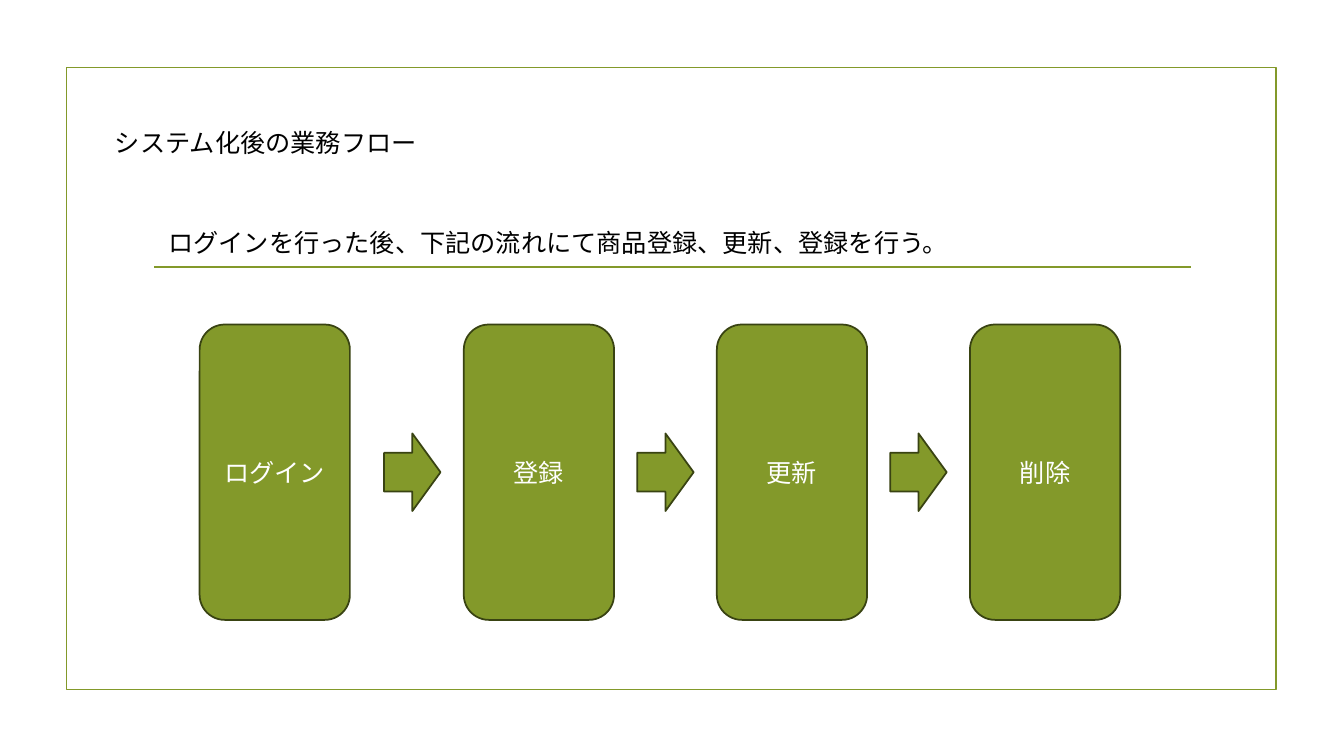
from lxml.etree import SubElement
from pptx import Presentation
from pptx.dml.color import RGBColor
from pptx.enum.shapes import MSO_CONNECTOR, MSO_SHAPE
from pptx.enum.text import MSO_ANCHOR, MSO_AUTO_SIZE, PP_ALIGN
from pptx.oxml.ns import qn
from pptx.util import Inches, Pt

HUES = {"green": "83992A", "edge": "394312", "ink": "000000", "white": "FFFFFF"}
CJK = "Noto Sans CJK JP"
SERIF = "Times New Roman"
STEP = 2.51
TOP, TALL, WIDE = 3.22, 2.93, 1.49
FIRST, NEXT = 1.98, 4.6
ARROW = 3.81


def hue(name):
    return RGBColor.from_string(HUES[name])


def box(*spot):
    return [Inches(n) for n in spot]


def write(frame, text, font=SERIF, size=18, color="ink",
          align=PP_ALIGN.LEFT, anchor=MSO_ANCHOR.TOP):
    frame.word_wrap = True
    frame.auto_size = MSO_AUTO_SIZE.NONE
    frame.vertical_anchor = anchor
    par = frame.paragraphs[0]
    par.alignment = align
    run = par.add_run()
    run.text = text
    run.font.size = Pt(size)
    run.font.color.rgb = hue(color)
    run.font.name = font
    SubElement(run.font._element, qn("a:ea"), typeface=CJK)


def shape(slide, kind, spot, fill="green", edge="edge"):
    item = slide.shapes.add_shape(kind, *box(*spot))
    item.shadow.inherit = False
    if fill:
        item.fill.solid()
        item.fill.fore_color.rgb = hue(fill)
    else:
        item.fill.background()
    item.line.color.rgb = hue(edge)
    item.line.width = Pt(1.25)
    return item


def rule(slide, left, right, y):
    line = slide.shapes.add_connector(MSO_CONNECTOR.STRAIGHT, *box(left, y, right, y))
    line.line.color.rgb = hue("green")
    line.line.width = Pt(1.25)
    SubElement(line._element.spPr, qn("a:effectLst"))


def title(slide, text, spot):
    head = slide.shapes.title
    head.left, head.top, head.width, head.height = box(*spot)
    write(head.text_frame, text, font=CJK)


def note(slide, text, spot):
    item = slide.shapes.add_textbox(*box(*spot))
    write(item.text_frame, text)


def flow(slide, steps):
    for i, name in enumerate(steps):
        left = NEXT + STEP * (i - 1) if i else FIRST
        card = shape(slide, MSO_SHAPE.ROUNDED_RECTANGLE, (left, TOP, WIDE, TALL))
        write(card.text_frame, name, color="white",
              align=PP_ALIGN.CENTER, anchor=MSO_ANCHOR.MIDDLE)
    for i in range(len(steps) - 1):
        shape(slide, MSO_SHAPE.RIGHT_ARROW, (ARROW + STEP * i, 4.3, 0.56, 0.77))


def main():
    deck = Presentation()
    deck.slide_width, deck.slide_height = box(13.33, 7.5)
    slide = deck.slides.add_slide(deck.slide_layouts.get_by_name("Title Only"))
    shape(slide, MSO_SHAPE.RECTANGLE, (0.66, 0.67, 12, 6.17), fill=None, edge="green")
    rule(slide, 1.53, 11.81, 2.65)
    title(slide, "システム化後の業務フロー", (1.04, 1.21, 6.67, 0.4))
    flow(slide, ["ログイン", "登録", "更新", "削除"])
    note(slide, "ログインを行った後、下記の流れにて商品登録、更新、登録を行う。",
         (1.57, 2.21, 10.19, 0.4))
    deck.save("out.pptx")


if __name__ == "__main__":
    main()
